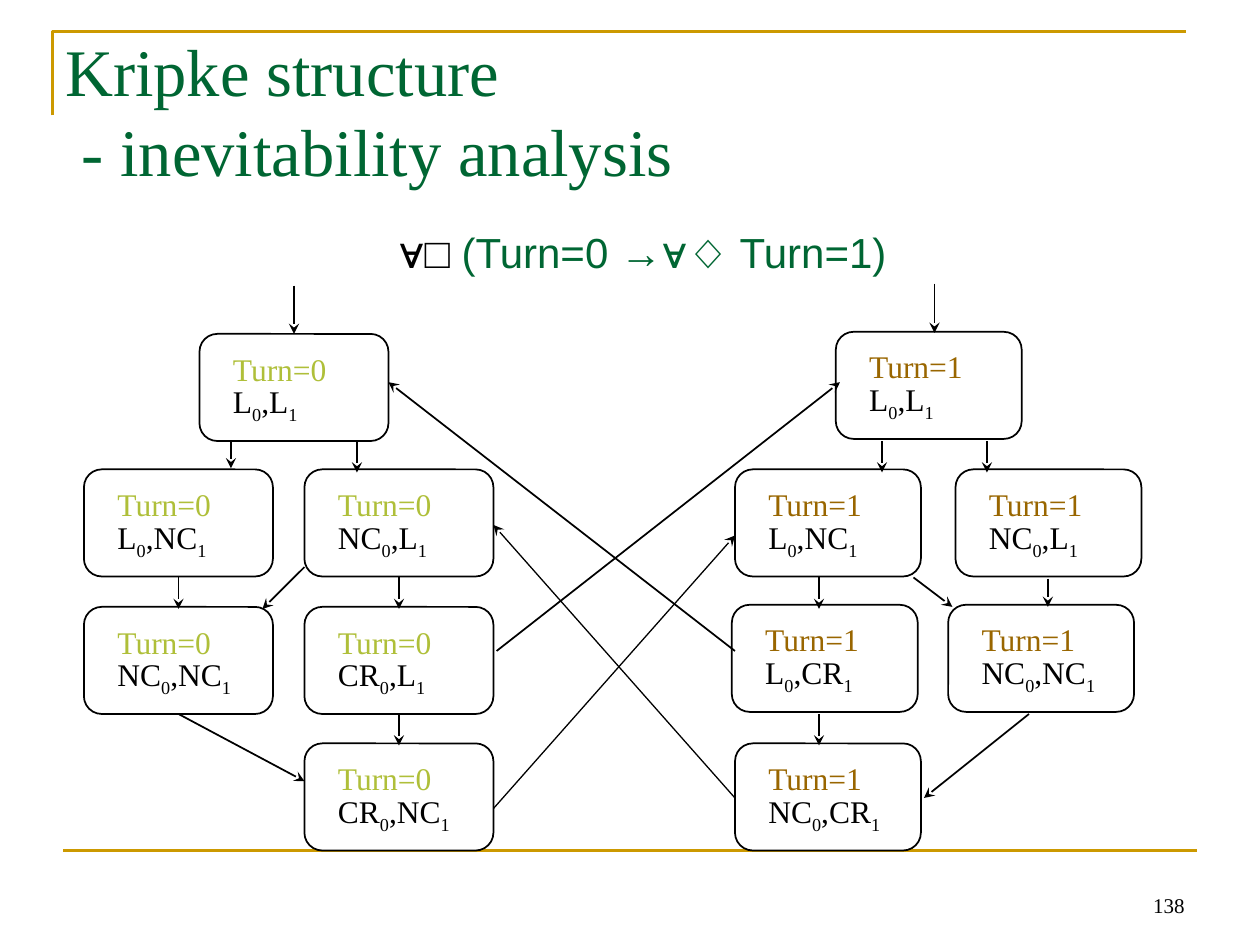
from typing import NamedTuple

from lxml import etree
from pptx import Presentation
from pptx.dml.color import RGBColor
from pptx.enum.shapes import MSO_CONNECTOR, MSO_SHAPE
from pptx.enum.text import MSO_ANCHOR, MSO_AUTO_SIZE, PP_ALIGN
from pptx.oxml.ns import qn
from pptx.util import Inches, Pt

STRAIGHT = MSO_CONNECTOR.STRAIGHT
ROUNDED = MSO_SHAPE.ROUNDED_RECTANGLE
MIDDLE, BOTTOM = MSO_ANCHOR.MIDDLE, MSO_ANCHOR.BOTTOM
LEFT, CENTER, RIGHT = PP_ALIGN.LEFT, PP_ALIGN.CENTER, PP_ALIGN.RIGHT
NO_FIT = MSO_AUTO_SIZE.NONE

COLORS = {"gold": "CC9900", "green": "006633", "black": "000000",
          "white": "FFFFFF", "Turn=0": "AFBF39", "Turn=1": "996600"}
SERIF, SANS = "Times New Roman", "Arial"
SLIDE_WIDTH, SLIDE_HEIGHT = Inches(10), Inches(7.5)
GRID_COLUMNS = 120
CELL = SLIDE_WIDTH / GRID_COLUMNS
STATE_HEIGHT = 10.2


class State(NamedTuple):
    column: float
    row: float
    turn: str
    first: str
    second: str


class Edge(NamedTuple):
    x1: float
    y1: float
    x2: float
    y2: float
    weight: float = 1


STATE_WIDTHS = {"Turn=0": 18, "Turn=1": 17.7}
STATES = [
    State(19, 31.8, "Turn=0", "L", "L"),
    State(8, 44.7, "Turn=0", "L", "NC"),
    State(29, 44.7, "Turn=0", "NC", "L"),
    State(8, 57.8, "Turn=0", "NC", "NC"),
    State(29, 57.8, "Turn=0", "CR", "L"),
    State(29, 70.8, "Turn=0", "CR", "NC"),
    State(79.6, 31.6, "Turn=1", "L", "L"),
    State(70, 44.7, "Turn=1", "L", "NC"),
    State(91, 44.7, "Turn=1", "NC", "L"),
    State(69.7, 57.6, "Turn=1", "L", "CR"),
    State(90.3, 57.6, "Turn=1", "NC", "NC"),
    State(70, 70.8, "Turn=1", "NC", "CR"),
]
EDGES = [
    Edge(28, 27.2, 28, 31.8), Edge(22, 42, 22, 44.6), Edge(34, 42, 34, 45),
    Edge(17, 55, 17, 58), Edge(38, 55, 38, 58), Edge(29, 54, 25, 58),
    Edge(17, 68, 29, 74.4), Edge(38, 68, 38, 71),
    Edge(89, 27, 89, 31.7), Edge(84, 42, 84, 45), Edge(94, 42, 94, 45),
    Edge(78, 55, 78, 58), Edge(99.8, 55.1, 99.8, 57.8), Edge(87, 55, 90.7, 57.8),
    Edge(98, 68, 88, 76), Edge(78, 68, 78, 71),
    Edge(70, 62, 37, 36.4), Edge(47.3, 62, 80, 36.4),
    Edge(47, 77, 70, 51, 0.75), Edge(70, 76, 47, 50, 0.75),
]


def cells(*counts: float) -> list[int]:
    return [round(count * CELL) for count in counts]


def color(name: str) -> RGBColor:
    return RGBColor.from_string(COLORS[name])


def set_font(target, size: float, name: str, shade: str) -> None:
    target.font.size = Pt(size)
    target.font.name = name
    target.font.color.rgb = color(shade)


def add_line(page, edge: Edge, shade: str, arrow: bool):
    line = page.shapes.add_connector(STRAIGHT, *cells(*edge[:4]))
    line.line.color.rgb = color(shade)
    line.line.width = Pt(edge.weight)
    if arrow:
        etree.SubElement(line.line._get_or_add_ln(), qn("a:tailEnd"), type="stealth")
    etree.SubElement(line._element.spPr, qn("a:effectLst"))


def add_text_box(page, left: float, top: float, width: float, height: float):
    frame = page.shapes.add_textbox(*cells(left, top, width, height)).text_frame
    frame.word_wrap = True
    return frame


def add_state(page, state: State) -> None:
    width = STATE_WIDTHS[state.turn]
    box = page.shapes.add_shape(ROUNDED, *cells(state.column, state.row, width, STATE_HEIGHT))
    box.shadow.inherit = False
    box.fill.solid()
    box.fill.fore_color.rgb = color("white")
    box.line.color.rgb = color("black")
    box.line.width = Pt(1)

    frame = add_text_box(page, state.column + 2, state.row + 0.9, width - 3, 7.6)
    frame.text = state.turn
    set_font(frame.paragraphs[0].runs[0], 18, SERIF, state.turn)
    para = frame.add_paragraph()
    para.line_spacing = 0.2
    para.space_before = Pt(11.2)
    for text in (state.first, "0", "," + state.second, "1"):
        span = para.add_run()
        span.text = text
        set_font(span, 18, SERIF, "black")
        if text.isdigit():
            span.font._element.set("baseline", "-25000")


def add_frame(page) -> None:
    builder = page.shapes.build_freeform(*cells(5, 11))
    builder.add_line_segments([cells(5, 3), cells(113, 3)], close=False)
    corner = builder.convert_to_shape()
    corner.shadow.inherit = False
    corner.fill.background()
    corner.line.color.rgb = color("gold")
    corner.line.width = Pt(1.5)
    add_line(page, Edge(6, 81, 114, 81, 1.5), "gold", False)


def add_title(page) -> None:
    title = page.shapes.title
    title.left, title.top, title.width, title.height = cells(5, 3, 92, 15)
    frame = title.text_frame
    frame.text = "Kripke structure\v - inevitability analysis"
    frame.auto_size = NO_FIT
    frame.vertical_anchor = MIDDLE
    para = frame.paragraphs[0]
    para.alignment = LEFT
    for span in para.runs:
        set_font(span, 38, SERIF, "green")


def add_formula(page) -> None:
    para = add_text_box(page, 34, 21, 54.5, 6).paragraphs[0]
    para.alignment = CENTER
    for text, shade, bold in (("∀□", "black", False), (" (Turn=0 →∀", "green", False),
                              ("◇", "green", True), (" Turn=1)", "green", False)):
        span = para.add_run()
        span.text = text
        set_font(span, 24, SANS, shade)
        span.font.bold = bold


def add_page_number(page) -> None:
    frame = add_text_box(page, 86, 82, 28, 6)
    frame.vertical_anchor = BOTTOM
    frame.text = "138"
    para = frame.paragraphs[0]
    para.alignment = RIGHT
    set_font(para.runs[0], 12, SERIF, "black")


def main() -> None:
    deck = Presentation()
    deck.slide_width, deck.slide_height = SLIDE_WIDTH, SLIDE_HEIGHT
    page = deck.slides.add_slide(deck.slide_layouts[5])
    add_frame(page)
    add_page_number(page)
    add_title(page)
    for state in STATES:
        add_state(page, state)
    for edge in EDGES:
        add_line(page, edge, "black", True)
    add_formula(page)
    deck.save("out.pptx")


if __name__ == "__main__":
    main()
